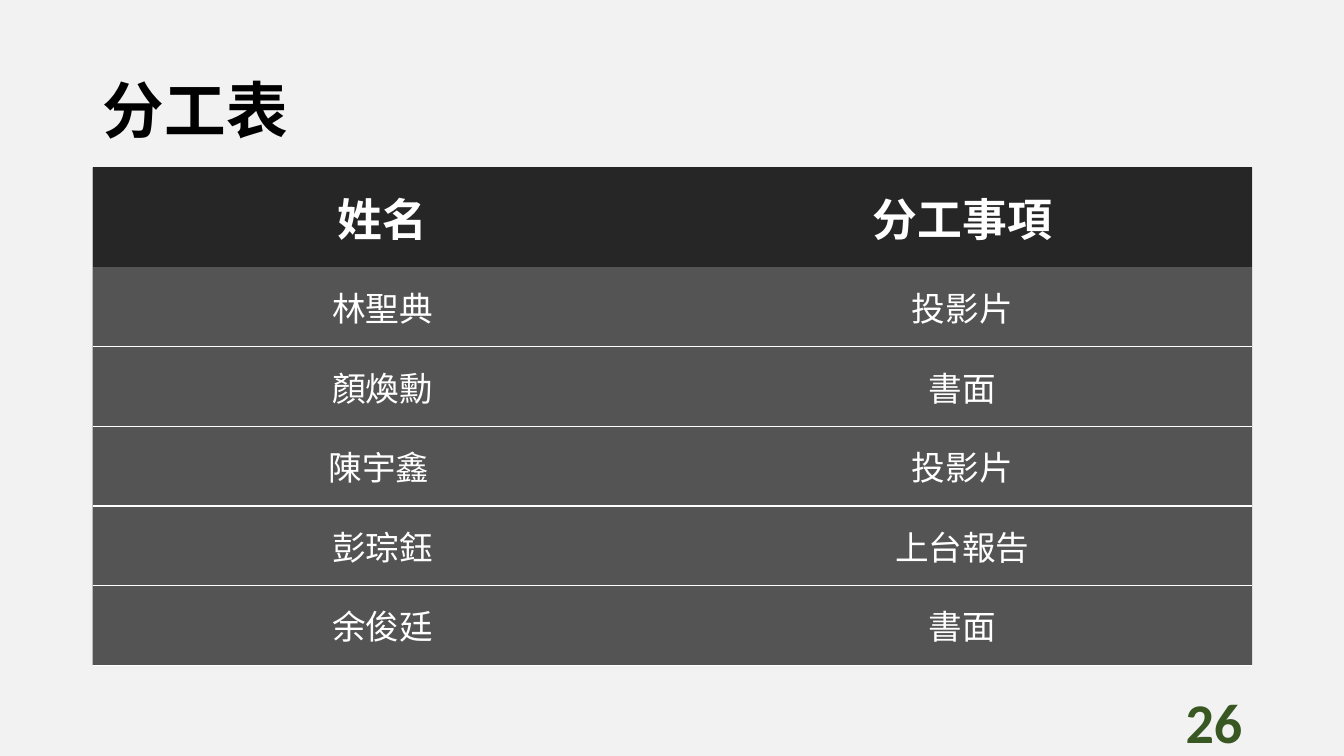
from lxml import etree
from pptx import Presentation
from pptx.dml.color import RGBColor
from pptx.enum import shapes, text
from pptx.oxml import ns
from pptx.util import Inches, Pt

TITLE = "分工表"
PAGE = "26"
ROWS = [
    ("姓名", "分工事項"),
    ("林聖典", "投影片"),
    ("顏煥勳", "書面"),
    ("陳宇鑫 ", "投影片"),
    ("彭琮鈺", "上台報告"),
    ("余俊廷", "書面"),
]
HEX = {"back": "F2F2F2", "ink": "000000", "head": "262626",
       "white": "FFFFFF", "green": "385723"}
CJK, LATIN = "Noto Sans CJK SC", "Calibri"
LEFT, TOP, WIDTH = 0.92, 1.66, 11.5
HEAD_H, ROW_H = 0.99, 0.79
TALL = HEAD_H + ROW_H * (len(ROWS) - 1)


def paint(fill, name):
    fill.solid()
    fill.fore_color.rgb = RGBColor.from_string(HEX[name])


def write(frame, words, size, color, bold, align, face=CJK):
    frame.vertical_anchor = text.MSO_ANCHOR.MIDDLE
    para = frame.paragraphs[0]
    para.alignment = align
    run = para.add_run()
    run.text = words
    font = run.font
    font.name, font.size, font.bold = face, Pt(size), bold
    font.color.rgb = RGBColor.from_string(HEX[color])
    east = etree.SubElement(run._r.get_or_add_rPr(), ns.qn("a:ea"))
    east.set("typeface", face)
    return para


def edge(cell, side, shown):
    line = etree.SubElement(cell._tc.get_or_add_tcPr(), ns.qn("a:ln" + side))
    line.set("w", str(Pt(1) if shown else 0))
    fill = etree.SubElement(line, ns.qn("a:solidFill" if shown else "a:noFill"))
    if shown:
        etree.SubElement(fill, ns.qn("a:srgbClr")).set("val", HEX["white"])


deck = Presentation()
deck.slide_width, deck.slide_height = Inches(13.33), Inches(7.5)
slide = deck.slides.add_slide(deck.slide_layouts[5])
paint(slide.background.fill, "back")

# Translucent panel behind the table
panel = slide.shapes.add_shape(
    shapes.MSO_SHAPE.RECTANGLE, Inches(LEFT), Inches(TOP), Inches(WIDTH), Inches(TALL))
panel.shadow.inherit = False
panel.line.fill.background()
paint(panel.fill, "ink")
tint = panel._element.spPr.find(".//" + ns.qn("a:srgbClr"))
etree.SubElement(tint, ns.qn("a:alpha")).set("val", "65000")

# Title
title = slide.shapes.title
title.left, title.top = Inches(LEFT), Inches(0.4)
title.width, title.height = Inches(WIDTH), Inches(1.45)
para = write(title.text_frame, TITLE, 44, "ink", True, text.PP_ALIGN.LEFT)
para.line_spacing = 0.9

# Table of names and duties
table = slide.shapes.add_table(
    len(ROWS), 2, Inches(LEFT), Inches(TOP), Inches(WIDTH), Inches(TALL)).table
table.horz_banding = False
for r, row in enumerate(ROWS):
    head = r == 0
    table.rows[r].height = Inches(HEAD_H if head else ROW_H)
    for c, words in enumerate(row):
        cell = table.cell(r, c)
        for side, shown in (("L", False), ("R", False), ("T", r > 1), ("B", not head)):
            edge(cell, side, shown)
        if head:
            paint(cell.fill, "head")
        else:
            cell.fill.background()
        cell.vertical_anchor = text.MSO_ANCHOR.MIDDLE
        write(cell.text_frame, words, 32 if head else 24, "white", head,
              text.PP_ALIGN.CENTER)

# Page number
page = slide.shapes.add_textbox(Inches(9.42), Inches(6.95), Inches(3), Inches(0.4))
page.text_frame.word_wrap = True
write(page.text_frame, PAGE, 40, "green", True, text.PP_ALIGN.RIGHT, LATIN)

deck.save("out.pptx")
